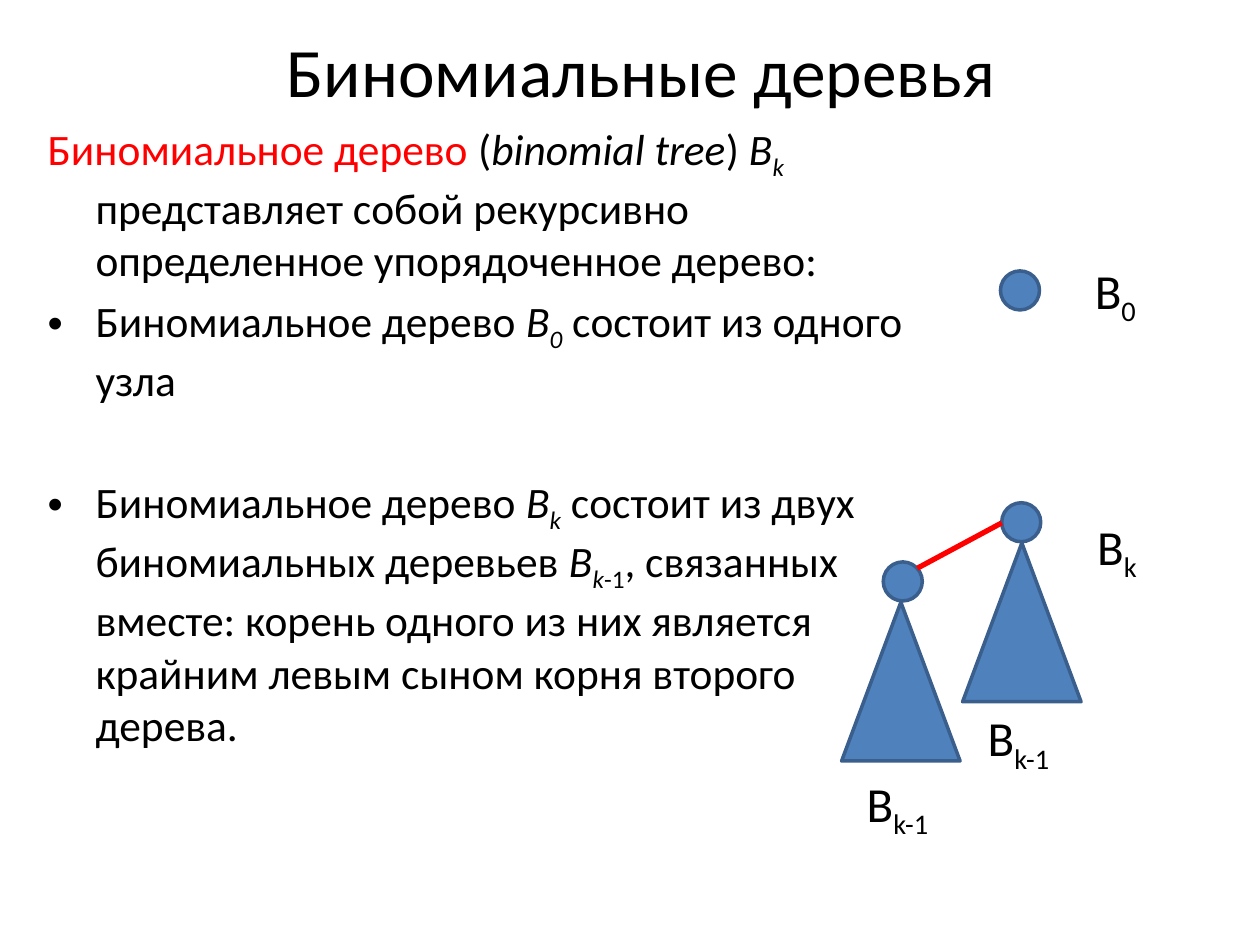
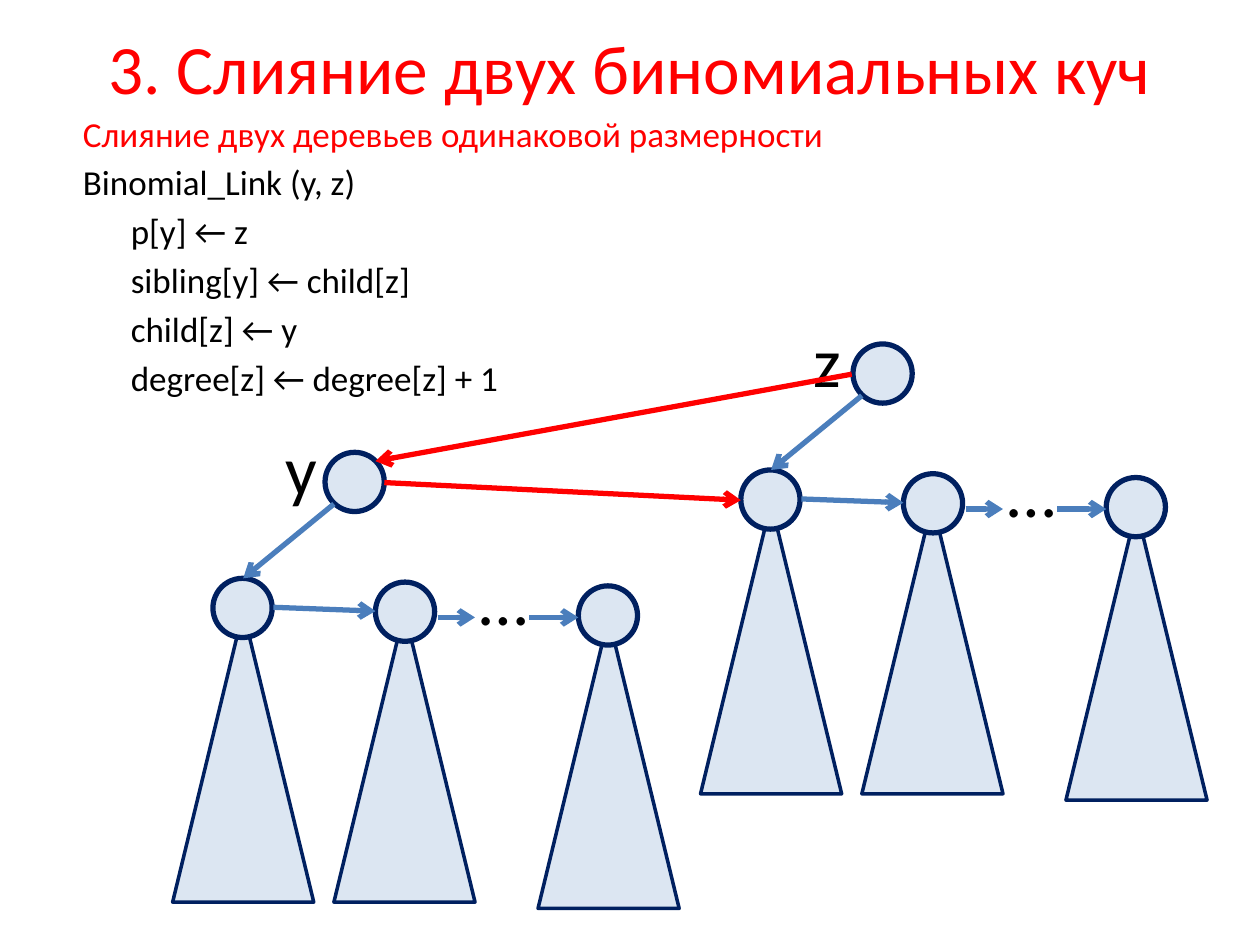
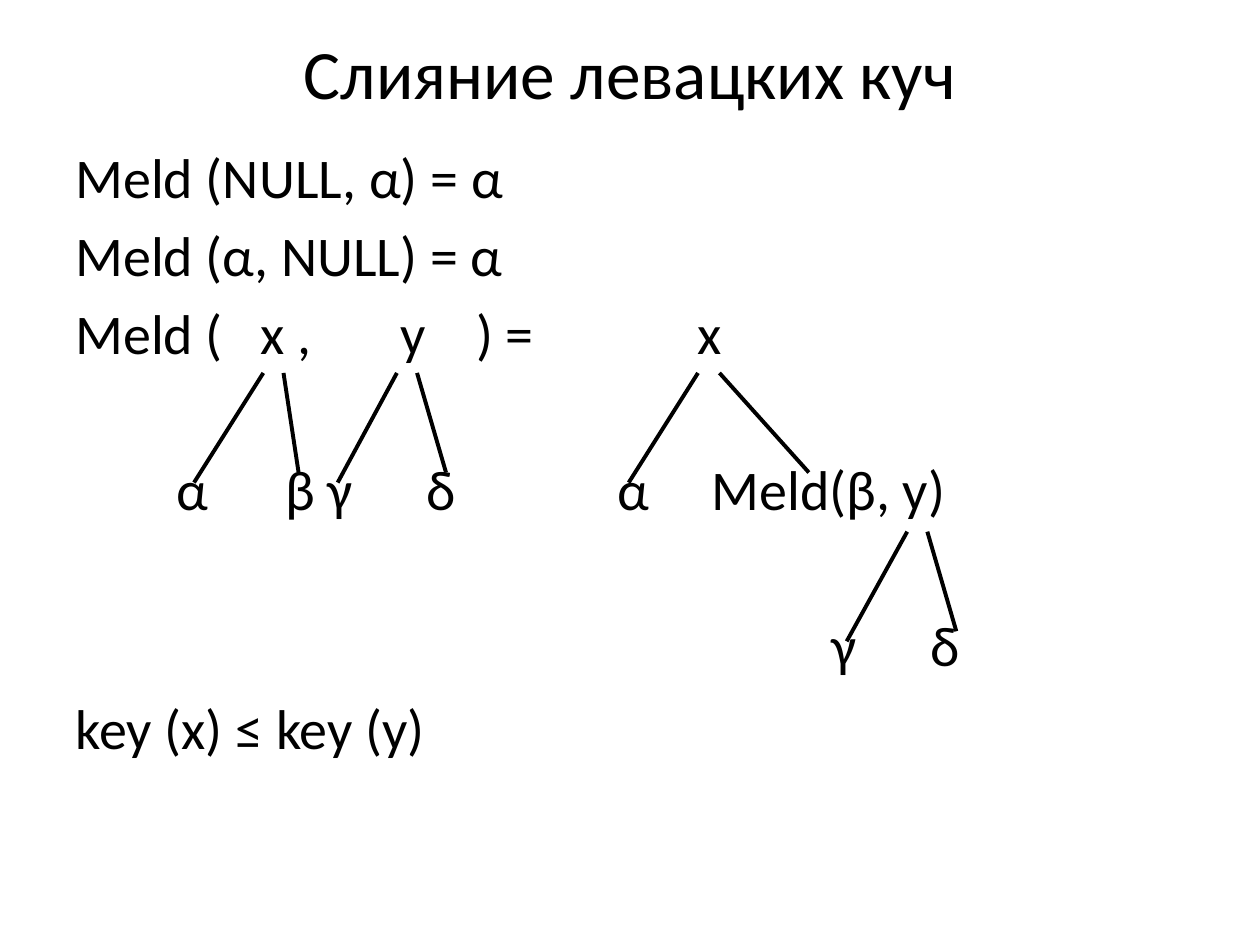
from dataclasses import dataclass

import pptx
import pptx.dml.color
import pptx.enum.shapes
import pptx.enum.text
import pptx.oxml.ns
import pptx.util
from lxml import etree
from pptx.util import Inches, Pt


@dataclass(frozen=True)
class Theme:
    font: str = "Calibri"
    text: str = "000000"
    accent: str = "FF0000"
    tree_fill: str = "4F81BD"
    tree_line: str = "3A5F8C"
    heap_fill: str = "DCE6F2"
    heap_line: str = "002060"
    pointer: str = "4B7EBC"
    title_size: float = 39.6
    definition_size: float = 24.8
    code_size: float = 20
    formula_size: float = 32
    label_size: float = 28
    node_size: float = 40
    paragraph_gap: float = 0.195
    line_height: float = 1.22
    hanging: float = 0.38


theme = Theme()
rgb = pptx.dml.color.RGBColor.from_string
qname = pptx.oxml.ns.qn
ELLIPSE = pptx.enum.shapes.MSO_SHAPE.OVAL
TRIANGLE = pptx.enum.shapes.MSO_SHAPE.ISOSCELES_TRIANGLE
CENTER = pptx.enum.text.PP_ALIGN.CENTER
MIDDLE = pptx.enum.text.MSO_ANCHOR.MIDDLE


def add_text(slide, box, paragraphs, size, color=theme.text, align=None, anchor=None,
             wrap=True, hanging=0, bullets=(), skips=None):
    """Add a text box; a run is (text, marks): i italic, s subscript, r accent colour.

    bullets and skips (lines left free above) go by paragraph index.
    """
    shape = slide.shapes.add_textbox(*map(Inches, box))
    frame = shape.text_frame
    frame.word_wrap = wrap
    frame.vertical_anchor = anchor
    gap = theme.paragraph_gap * size
    for index, runs in enumerate(paragraphs):
        paragraph = frame.paragraphs[0] if index == 0 else frame.add_paragraph()
        paragraph.alignment = align
        skipped = (skips or {}).get(index, 0)
        paragraph.space_before = Pt(gap + skipped * (theme.line_height * size + gap))
        properties = paragraph._p.get_or_add_pPr()
        properties.set("marL", str(Inches(hanging)))
        properties.set("indent", str(Inches(-hanging)))
        if index in bullets:
            etree.SubElement(properties, qname("a:buFont"), typeface="Arial")
            etree.SubElement(properties, qname("a:buChar"), char="•")
        for text, marks in [(runs, "")] if isinstance(runs, str) else runs:
            run = paragraph.add_run()
            run.text = text
            run.font.name = theme.font
            run.font.size = Pt(size)
            run.font.italic = "i" in marks
            run.font.color.rgb = rgb(theme.accent if "r" in marks else color)
            if "s" in marks:
                run._r.get_or_add_rPr().set("baseline", "-25000")


def add_shape(slide, kind, box, fill, line, width):
    shape = slide.shapes.add_shape(kind, *map(Inches, box))
    shape.shadow.inherit = False
    shape.fill.solid()
    shape.fill.fore_color.rgb = rgb(fill)
    shape.line.color.rgb = rgb(line)
    shape.line.width = Pt(width)


presentation = pptx.Presentation()
presentation.slide_width = Inches(10)
presentation.slide_height = Inches(7.5)
blank = presentation.slide_layouts[6]
titles = [
    ("Биномиальные деревья", (0.59, 0.21, 9, 0.69), theme.text),
    ("3. Слияние двух биномиальных куч", (0.5, 0.3, 9, 0.46), theme.accent),
    ("Слияние левацких куч", (0.5, 0.3, 9, 0.54), theme.text),
]
for title, box, color in titles:
    add_text(presentation.slides.add_slide(blank), box, [title], theme.title_size,
             color=color, align=CENTER, anchor=MIDDLE)
tree_slide, heap_slide, meld_slide = presentation.slides
lines = []  # slide, start, end, color, width, has arrowhead

# Binomial trees
add_text(tree_slide, (0.28, 0.92, 7.09, 4.25), [
    [("Биномиальное дерево ", "r"), ("(", ""), ("binomial tree", "i"), (") ", ""),
     ("B", "i"), ("k", "is"),
     (" представляет собой рекурсивно определенное упорядоченное дерево:", "")],
    [("Биномиальное дерево ", ""), ("B", "i"), ("0", "is"), (" состоит из одного узла", "")],
    [("Биномиальное дерево ", ""), ("B", "i"), ("k", "is"),
     (" состоит из двух биномиальных деревьев ", ""), ("B", "i"), ("k", "is"), ("-1", "s"),
     (", связанных вместе: корень одного из них является крайним левым сыном "
      "корня второго дерева.", "")],
], theme.definition_size, hanging=theme.hanging, bullets=(1, 2), skips={2: 1})

for left, top in [(7.94, 2.15), (7.01, 4.46), (7.95, 3.99)]:
    add_shape(tree_slide, ELLIPSE, (left, top, 0.31, 0.31),
              theme.tree_fill, theme.tree_line, 2)
for left, top in [(6.68, 4.78), (7.64, 4.31)]:
    add_shape(tree_slide, TRIANGLE, (left, top, 0.94, 1.26),
              theme.tree_fill, theme.tree_line, 2)
for left, top, width, order in [(8.59, 2.02, 0.55, "0"), (6.78, 6.09, 0.75, "k-1"),
                                (7.74, 5.57, 0.75, "k-1"), (8.61, 4.05, 0.75, "k")]:
    add_text(tree_slide, (left, top, width, 0.57), [[("B", ""), (order, "s")]],
             theme.label_size, wrap=False)
lines.append((tree_slide, (7.95, 4.15), (7.28, 4.51), theme.accent, 3, False))

# Linking two binomial trees of equal size
add_text(heap_slide, (0.56, 0.84, 9, 2.2), [
    [("Слияние двух деревьев одинаковой размерности", "r")],
    "Binomial_Link (y, z)",
    "\tp[y] ← z",
    "\tsibling[y] ← child[z]",
    "\tchild[z] ← y",
    "\tdegree[z] ← degree[z] + 1",
], theme.code_size, hanging=theme.hanging)

node = 0.47
subtrees = [(1.37, 4.85), (2.65, 4.85), (4.27, 4.9)]
nodes = [(2.58, 3.59), (1.69, 4.59), (2.98, 4.62), (4.59, 4.65)]
pointers = [((2.65, 4), (1.93, 4.59)), ((2.17, 4.82), (2.98, 4.85)),
            ((3.48, 4.9), (3.77, 4.9)), ((4.2, 4.9), (4.59, 4.9))]
for name, dx, dy in [("y", 0, 0), ("z", 4.19, -0.86)]:
    for left, top in subtrees:
        add_shape(heap_slide, TRIANGLE, (left + dx, top + dy, 1.12, 2.31),
                  theme.heap_fill, theme.heap_line, 2)
    for left, top in nodes:
        add_shape(heap_slide, ELLIPSE, (left + dx, top + dy, node, node),
                  theme.heap_fill, theme.heap_line, 3)
    for text, left, top, width in [(name, 2.17, 3.33, 0.4), ("…", 3.71, 4.36, 0.56)]:
        add_text(heap_slide, (left + dx, top + dy, width, 0.77), [text],
                 theme.node_size, wrap=False)
    for (x1, y1), (x2, y2) in pointers:
        lines.append((heap_slide, (x1 + dx, y1 + dy), (x2 + dx, y2 + dy),
                      theme.pointer, 3, True))
for start, end in [((6.76, 2.97), (2.98, 3.66)), ((3.05, 3.83), (5.88, 3.97))]:
    lines.append((heap_slide, start, end, theme.accent, 3, True))

# Melding leftist heaps
formula_top, row_pitch = 1.08, 0.62
add_text(meld_slide, (0.5, formula_top, 9, 5.63), [
    "Meld (NULL, α) = α",
    "Meld (α, NULL) = α",
    "Meld (",
    "key (x) ≤ key (y)",
], theme.formula_size, skips={3: 4})
operands = {
    2: [("x ,", 1.97), ("y", 3.08), (") =", 3.68), ("x", 5.44)],
    4: [("α", 1.3), ("β", 2.17), ("γ", 2.5), ("δ", 3.29), ("α", 4.8), ("Meld(β, y)", 5.55)],
    6: [("γ", 6.5), ("δ", 7.29)],
}
for row, row_operands in operands.items():
    for text, left in row_operands:
        width = 2.2 if len(text) > 3 else 0.8
        add_text(meld_slide, (left, formula_top + row * row_pitch, width, 0.64),
                 [text], theme.formula_size)
branches = [
    ((2.09, 2.96), (1.54, 3.83)), ((2.25, 2.96), (2.37, 3.75)),
    ((3.15, 2.96), (2.68, 3.83)), ((3.31, 2.96), (3.54, 3.75)),
    ((5.54, 2.96), (4.99, 3.83)), ((5.71, 2.96), (6.42, 3.75)),
    ((7.2, 4.22), (6.72, 5.09)), ((7.36, 4.22), (7.59, 5.01)),
]
for start, end in branches:
    lines.append((meld_slide, start, end, theme.text, 2.25, False))

for slide, start, end, color, width, has_arrowhead in lines:
    connector = slide.shapes.add_connector(
        pptx.enum.shapes.MSO_CONNECTOR.STRAIGHT, *map(Inches, start + end))
    connector.line.color.rgb = rgb(color)
    connector.line.width = Pt(width)
    if has_arrowhead:
        etree.SubElement(connector.line._get_or_add_ln(), qname("a:tailEnd"), type="arrow")
    etree.SubElement(connector._element.spPr, qname("a:effectLst"))

presentation.save("out.pptx")
